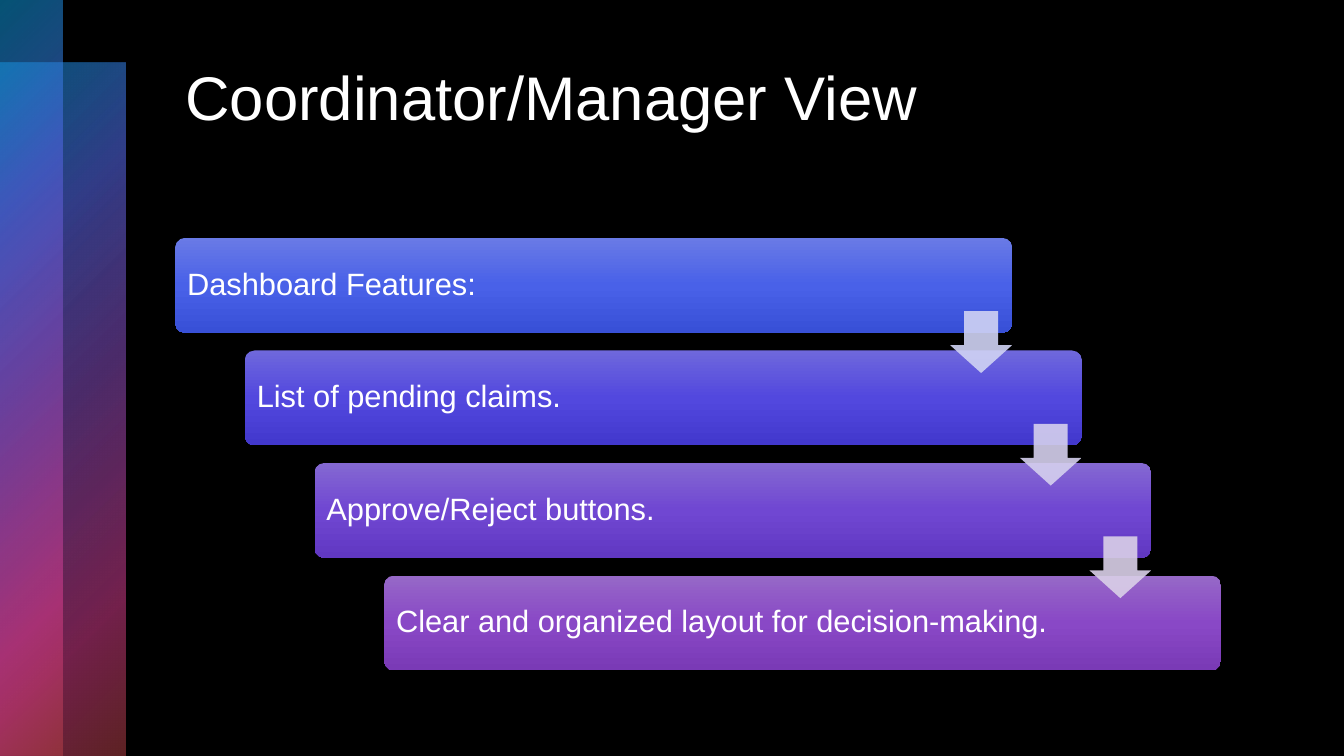
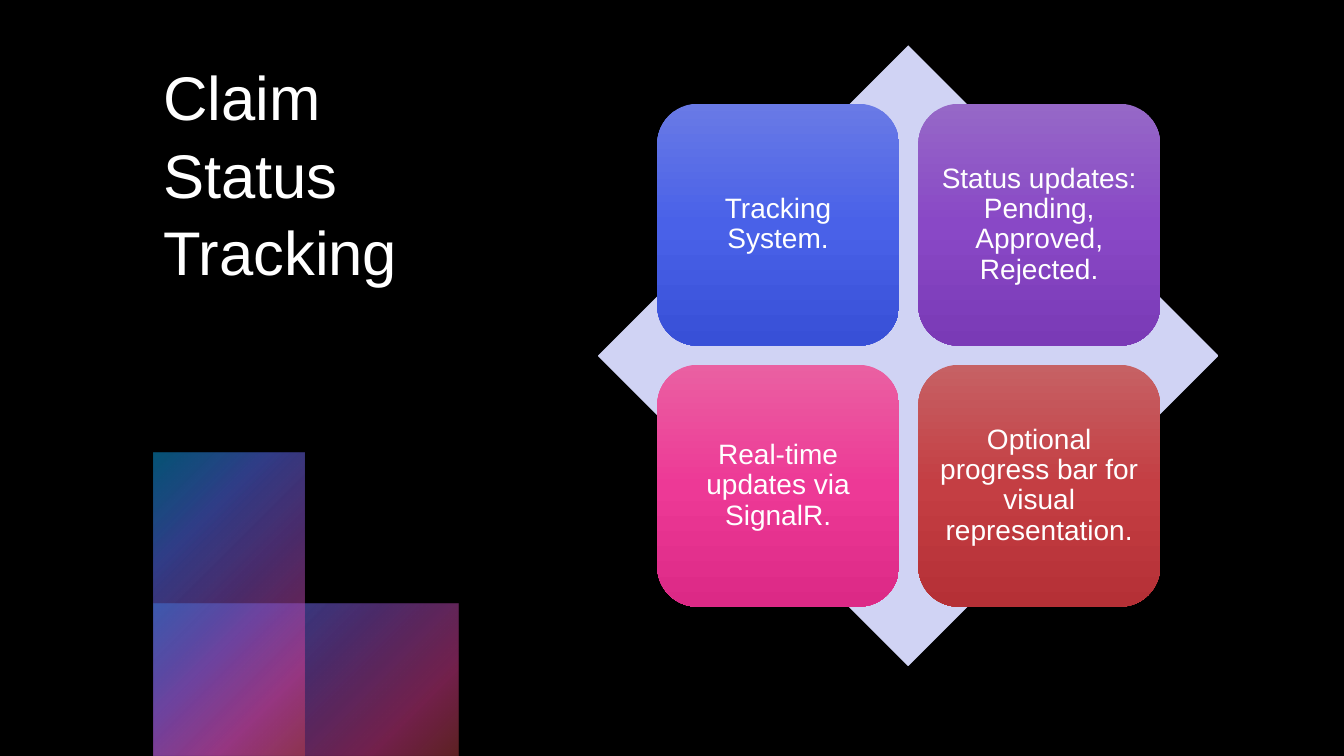
from lxml.etree import SubElement
from pptx import Presentation
from pptx.dml.color import RGBColor
from pptx.enum.shapes import MSO_SHAPE
from pptx.enum.text import MSO_ANCHOR, PP_ALIGN
from pptx.oxml.ns import qn
from pptx.util import Inches, Pt

FONT = "Arial"
WHITE, BLACK = "FFFFFF", "000000"
RAINBOW = [(0, "0BA5E8", 50), (25, "5066E1", 60), (50, "894EC0", 55),
           (81, "E54196", 50), (99, "BE4449", 50)]
BLUE = ["697AE6", "4961E8", "3850D7"]
INDIGO = ["6F68DC", "5248DE", "4238CD"]
VIOLET = ["8468D2", "7047D2", "6138C2"]
PURPLE = ["9668C7", "8948C6", "7A3AB6"]
PINK = ["EA60A2", "ED3996", "DC2986"]
RED = ["C66164", "C43E43", "B53036"]

prs = Presentation()
prs.slide_width, prs.slide_height = Inches(13.33), Inches(7.5)
fill = prs.slide_master.background.fill
fill.solid()
fill.fore_color.rgb = RGBColor.from_string(BLACK)


def place(sp, x, y, w, h):
    """Position in percent of the slide's width and height."""
    sp.left, sp.width = [int(prs.slide_width * v / 100) for v in (x, w)]
    sp.top, sp.height = [int(prs.slide_height * v / 100) for v in (y, h)]


def add(s, kind, at, stops, radial=False, text="", size=20, inset=0.08, align=PP_ALIGN.LEFT):
    sp = s.shapes.add_shape(kind, 0, 0, 0, 0)
    place(sp, *at)
    grad = SubElement(sp._element.spPr, qn("a:gradFill"), rotWithShape="1")
    gs_list = SubElement(grad, qn("a:gsLst"))
    for pos, color, alpha in stops:
        gs = SubElement(gs_list, qn("a:gs"), pos=str(pos * 1000))
        clr = SubElement(gs, qn("a:srgbClr"), val=color)
        if alpha < 100:
            SubElement(clr, qn("a:alpha"), val=str(alpha * 1000))
    if radial:
        path = SubElement(grad, qn("a:path"), path="circle")
        SubElement(path, qn("a:fillToRect"), r="100000", b="100000")
    else:
        SubElement(grad, qn("a:lin"), ang="5400000", scaled="0")
    sp.line.fill.background()
    sp.shadow.inherit = False
    if text:
        tf = sp.text_frame
        tf.word_wrap = True
        tf.vertical_anchor = MSO_ANCHOR.MIDDLE
        tf.margin_left = tf.margin_right = tf.margin_top = tf.margin_bottom = Inches(inset)
        p = tf.paragraphs[0]
        p.text = text
        p.alignment = align
        p.line_spacing = 0.9
        p.font.name, p.font.size = FONT, Pt(size)
        p.font.color.rgb = RGBColor.from_string(WHITE)
    return sp


pages = [
    ("Coordinator/Manager View", (13.05, 6.67, 77.8, 22.67),
     [(0, 8.27, 9.3, 91.73), (0, 0, 4.65, 100)]),
    ("Claim Status Tracking", (11.4, 6.67, 26.1, 49.47),
     [(11.4, 79.87, 22.73, 20.13), (11.4, 59.87, 11.25, 40.13)]),
]
for title, at, bands in pages:
    s = prs.slides.add_slide(prs.slide_layouts[5])
    for band in bands:
        add(s, MSO_SHAPE.RECTANGLE, band, RAINBOW, radial=True)
    sp = s.shapes.title
    place(sp, *at)
    tf = sp.text_frame
    tf.word_wrap = True
    tf.vertical_anchor = MSO_ANCHOR.TOP
    p = tf.paragraphs[0]
    p.text = title
    p.alignment = PP_ALIGN.LEFT
    p.line_spacing = 1.05
    p.font.name, p.font.size = FONT, Pt(44)
    p.font.color.rgb = RGBColor.from_string(WHITE)

dashboard, tracking = prs.slides

steps = [("Dashboard Features:", BLUE), ("List of pending claims.", INDIGO),
         ("Approve/Reject buttons.", VIOLET),
         ("Clear and organized layout for decision-making.", PURPLE)]
step_w, step_h = 62.25, 12.53
corners = [(13.05 + 5.18 * i, 31.47 + 14.89 * i) for i in range(len(steps))]
for (text, colors), (x, y) in zip(steps, corners):
    sp = add(dashboard, MSO_SHAPE.ROUNDED_RECTANGLE, (x, y, step_w, step_h),
             [(50 * i, c, 100) for i, c in enumerate(colors)],
             text=text, size=22, inset=0.09)
    sp.adjustments[0] = 0.1

arrow_w, arrow_h = 4.6, 8.18
for (x, y), color in zip(corners, ["D0D3F4", "D5D0EE", "DAD0E8"]):
    sp = add(dashboard, MSO_SHAPE.DOWN_ARROW,
             (x + step_w - arrow_w, y + 9.7, arrow_w, arrow_h),
             [(0, color, 90), (100, color, 90)])
    sp.adjustments[0], sp.adjustments[1] = 0.55, 0.45

add(tracking, MSO_SHAPE.DIAMOND, (44.48, 6, 46.2, 82.13),
    [(0, "D0D3F4", 100), (100, "D0D3F4", 100)])
tiles = [("Tracking System.", BLUE),
         ("Status updates: Pending, Approved, Rejected.", PURPLE),
         ("Real-time updates via SignalR.", PINK),
         ("Optional progress bar for visual representation.", RED)]
for n, (text, colors) in enumerate(tiles):
    row, col = divmod(n, 2)
    add(tracking, MSO_SHAPE.ROUNDED_RECTANGLE,
        (48.9 + 19.43 * col, 13.73 + 34.53 * row, 18, 32),
        [(50 * i, c, 100) for i, c in enumerate(colors)],
        text=text, align=PP_ALIGN.CENTER)

prs.save("out.pptx")
